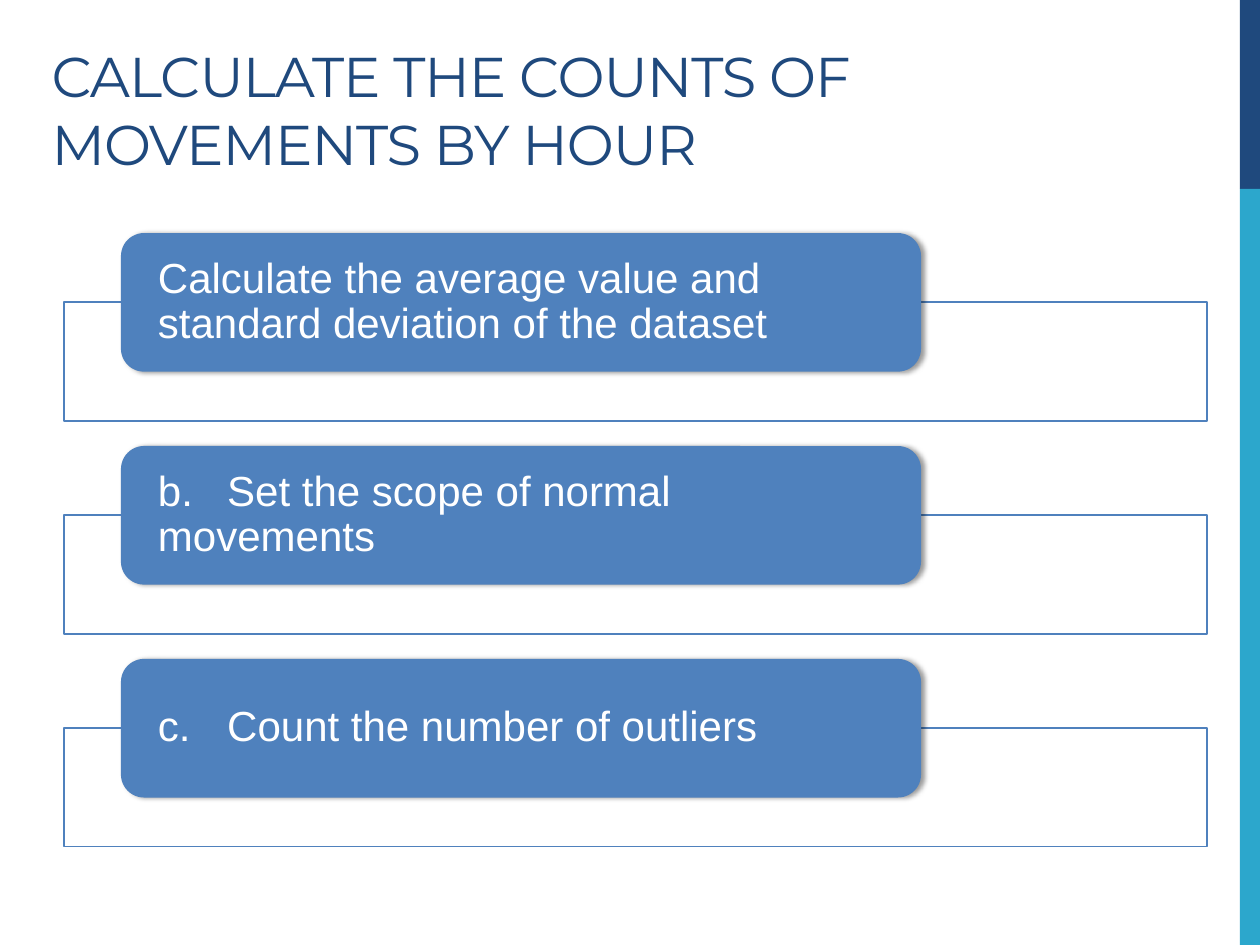
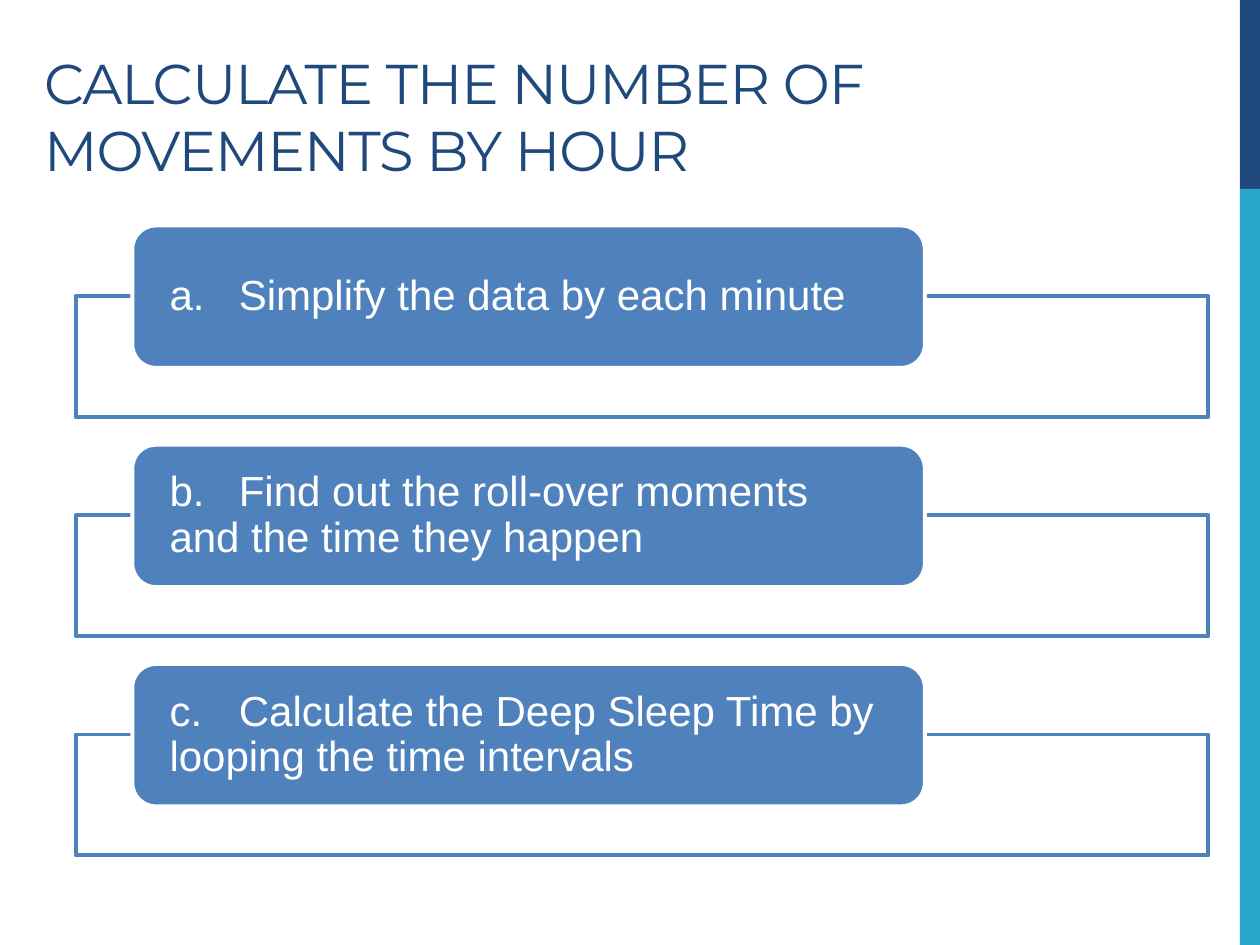
"""Build two slides of calculation steps under a shared title style and side bands."""
from dataclasses import dataclass
from typing import Any

from lxml.etree import SubElement
from pptx import Presentation
from pptx.dml.color import RGBColor
from pptx.enum.shapes import MSO_SHAPE
from pptx.enum.text import MSO_ANCHOR, MSO_AUTO_SIZE, PP_ALIGN
from pptx.oxml.ns import qn
from pptx.util import Emu, Pt

EMU_PER_PX = 9144
NAVY, TEAL, BLUE, WHITE, BLACK = "1F497D", "2CA7CC", "4F81BD", "FFFFFF", "000000"
TITLE_ONLY = 5
MARKER_TAB = 55

TITLE_FRAME = {"vertical_anchor": MSO_ANCHOR.BOTTOM, "word_wrap": True,
               "auto_size": MSO_AUTO_SIZE.NONE}
TITLE_FONT = {"name": "Montserrat", "size": Pt(32)}
STEP_FONT = {"name": "Arial", "size": Pt(24)}


def px(length: int) -> Emu:
    return Emu(length * EMU_PER_PX)


STEP_FRAME = {"vertical_anchor": MSO_ANCHOR.MIDDLE, "word_wrap": True,
              "margin_left": px(24), "margin_right": px(24),
              "margin_top": 0, "margin_bottom": 0}


@dataclass(frozen=True)
class Box:
    left: int
    top: int
    width: int
    height: int

    def moved_down(self, distance: int) -> "Box":
        return Box(self.left, self.top + distance, self.width, self.height)


@dataclass(frozen=True)
class Band:
    box: Box
    color: str


@dataclass(frozen=True)
class StepStyle:
    frame: Box
    label: Box
    pitch: int
    frame_line: float
    label_line: float
    shadow: bool


@dataclass(frozen=True)
class StepSlide:
    title: str
    title_box: Box
    style: StepStyle
    steps: tuple[str, ...]


BANDS = (Band(Box(984, 0, 16, 150), NAVY), Band(Box(984, 150, 16, 600), TEAL))

SLIDES = (
    StepSlide(
        "CALCULATE THE COUNTS OF MOVEMENTS BY HOUR",
        Box(31, 0, 892, 145),
        StepStyle(Box(51, 240, 907, 94), Box(96, 185, 635, 110), 169, 1, 0, True),
        ("Calculate the average value and standard deviation of the dataset",
         "b.\tSet the scope of normal movements",
         "c.\tCount the number of outliers"),
    ),
    StepSlide(
        "CALCULATE THE NUMBER OF MOVEMENTS BY HOUR",
        Box(25, 16, 884, 134),
        StepStyle(Box(60, 235, 899, 96), Box(105, 179, 629, 113), 174, 2.25, 2.25, False),
        ("a.\tSimplify the data by each minute",
         "b.\tFind out the roll-over moments and the time they happen",
         "c.\tCalculate the Deep Sleep Time by looping the time intervals"),
    ),
)


def rgb(color: str) -> RGBColor:
    return RGBColor.from_string(color)


def apply(target: Any, values: dict[str, Any]) -> None:
    for name, value in values.items():
        setattr(target, name, value)


def place(shape: Any, box: Box) -> None:
    apply(shape, {"left": px(box.left), "top": px(box.top),
                  "width": px(box.width), "height": px(box.height)})


def add_box(slide: Any, kind: MSO_SHAPE, box: Box, fill: str,
            line: str = WHITE, line_width: float = 0) -> Any:
    shape = slide.shapes.add_shape(kind, px(box.left), px(box.top),
                                   px(box.width), px(box.height))
    shape.shadow.inherit = False
    shape.fill.solid()
    shape.fill.fore_color.rgb = rgb(fill)
    if line_width:
        shape.line.color.rgb = rgb(line)
        shape.line.width = Pt(line_width)
    else:
        shape.line.fill.background()
    return shape


def set_alpha(color_element: Any, percent: int) -> None:
    SubElement(color_element, qn("a:alpha"), val=str(percent * 1000))


def add_shadow(shape: Any) -> None:
    effects = shape.element.spPr.find(qn("a:effectLst"))
    shadow = SubElement(effects, qn("a:outerShdw"), blurRad=str(Pt(3.1)),
                        dist=str(Pt(1.8)), dir="0", rotWithShape="0")
    set_alpha(SubElement(shadow, qn("a:srgbClr"), val=BLACK), 40)


def add_bands(slide: Any) -> None:
    for band in BANDS:
        shape = add_box(slide, MSO_SHAPE.RECTANGLE, band.box, band.color)
        slide.slide_layout.shapes.element.append(shape.element)


def format_title(slide: Any, text: str, box: Box) -> None:
    title = slide.shapes.title
    place(title, box)
    title.text_frame.text = text
    apply(title.text_frame, TITLE_FRAME)
    paragraph = title.text_frame.paragraphs[0]
    paragraph.alignment = PP_ALIGN.LEFT
    run = paragraph.runs[0]
    apply(run.font, TITLE_FONT)
    run.font.color.rgb = rgb(NAVY)
    run.font._element.set("spc", "-60")


def add_step(slide: Any, text: str, style: StepStyle, index: int) -> None:
    offset = index * style.pitch
    frame = add_box(slide, MSO_SHAPE.RECTANGLE, style.frame.moved_down(offset),
                    WHITE, BLUE, style.frame_line)
    set_alpha(frame.element.spPr.find(qn("a:solidFill"))[0], 90)

    label = add_box(slide, MSO_SHAPE.ROUNDED_RECTANGLE, style.label.moved_down(offset),
                    BLUE, WHITE, style.label_line)
    if style.shadow:
        add_shadow(label)
    label.text_frame.text = text
    apply(label.text_frame, STEP_FRAME)
    paragraph = label.text_frame.paragraphs[0]
    apply(paragraph, {"alignment": PP_ALIGN.LEFT, "line_spacing": 0.9})
    tabs = SubElement(paragraph._p.get_or_add_pPr(), qn("a:tabLst"))
    SubElement(tabs, qn("a:tab"), pos=str(px(MARKER_TAB)), algn="l")
    apply(paragraph.font, STEP_FONT)
    paragraph.font.color.rgb = rgb(WHITE)


def main() -> None:
    presentation = Presentation()
    apply(presentation, {"slide_width": px(1000), "slide_height": px(750)})
    layout = presentation.slide_layouts[TITLE_ONLY]
    for number, content in enumerate(SLIDES):
        slide = presentation.slides.add_slide(layout)
        if number == 0:
            add_bands(slide)
        format_title(slide, content.title, content.title_box)
        for index, step in enumerate(content.steps):
            add_step(slide, step, content.style, index)
    presentation.save("out.pptx")


if __name__ == "__main__":
    main()
